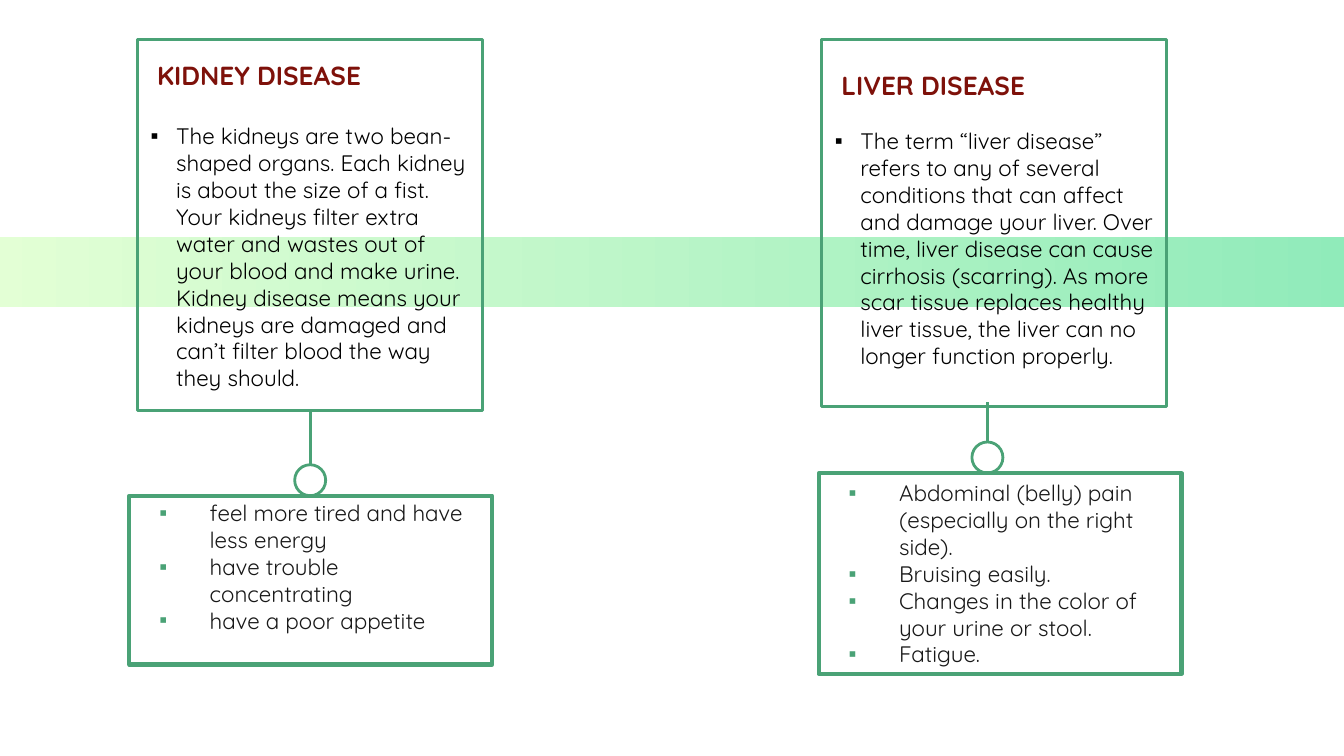
from dataclasses import dataclass

from lxml import etree
from pptx import Presentation
from pptx import util as u
from pptx.dml.color import RGBColor
from pptx.enum import shapes, text
from pptx.oxml.ns import qn

GREEN = RGBColor(0x4A, 0xA2, 0x76)
PALE_GREEN = RGBColor(0xE3, 0xFF, 0xD5)
MINT = RGBColor(0x90, 0xEB, 0xBA)
DARK_RED = RGBColor(0x7E, 0x11, 0x0A)
BLACK = RGBColor(0, 0, 0)
CHARCOAL = RGBColor(0x18, 0x18, 0x18)
FONT = "Quicksand"
CIRCLE = 16.6
LINE = 1.5


@dataclass
class Frame:
    """A box in points, with the inset above its first line."""
    left: float
    top: float
    width: float
    height: float
    inset: float


@dataclass
class Disease:
    title: str
    description: str
    symptoms: list[str]
    card: Frame
    title_gap: float
    symptom_card: Frame
    axis: float
    stem_top: float
    circle_top: float


DISEASES = [
    Disease(
        "KIDNEY DISEASE",
        "The kidneys are two bean-shaped organs. Each kidney is about the size "
        "of a fist. Your kidneys filter extra water and wastes out of your blood "
        "and make urine. Kidney disease means your kidneys are damaged and can’t "
        "filter blood the way they should.",
        ["feel more tired and have less energy", "have trouble concentrating",
         "have a poor appetite"],
        Frame(73.6, 21, 185, 198.8, 11), 16.8,
        Frame(69.3, 265.6, 194.4, 90.4, 1.8), 166.2, 219.8, 249),
    Disease(
        "LIVER DISEASE",
        "The term “liver disease” refers to any of several conditions that can "
        "affect and damage your liver. Over time, liver disease can cause "
        "cirrhosis (scarring). As more scar tissue replaces healthy liver tissue, "
        "the liver can no longer function properly.",
        ["Abdominal (belly) pain (especially on the right side).",
         "Bruising easily.", "Changes in the color of your urine or stool.",
         "Fatigue."],
        Frame(440.2, 21, 185, 197, 16), 14.4,
        Frame(438.6, 253.6, 194.4, 107.4, 3.2), 529, 215.5, 236.8),
]


def style_text(para, size: float, color: RGBColor, bold: bool = False) -> None:
    para.alignment = text.PP_ALIGN.LEFT
    for span in para.runs:
        span.font.name = FONT
        span.font.size = u.Pt(size)
        span.font.bold = bold
        span.font.color.rgb = color


def set_bullet(para, margin: float, hanging: float, color: RGBColor) -> None:
    props = para._p.get_or_add_pPr()
    props.set("marL", str(u.Pt(margin)))
    props.set("indent", str(-u.Pt(hanging)))
    bullet_color = etree.SubElement(props, qn("a:buClr"))
    etree.SubElement(bullet_color, qn("a:srgbClr"), val=str(color))
    etree.SubElement(props, qn("a:buFont"), typeface="Arial")
    etree.SubElement(props, qn("a:buChar"), char="▪")


def add_outline(page, kind, left: float, top: float, width: float,
                height: float, weight: float = LINE):
    box = page.shapes.add_shape(kind, u.Pt(left), u.Pt(top), u.Pt(width), u.Pt(height))
    box.shadow.inherit = False
    box.fill.background()
    box.line.color.rgb = GREEN
    box.line.width = u.Pt(weight)
    return box


def add_card(page, frame: Frame, lines: list[str], weight: float = LINE):
    """Draw a framed card and return its paragraphs."""
    box = add_outline(page, shapes.MSO_SHAPE.RECTANGLE, frame.left, frame.top,
                      frame.width, frame.height, weight)
    body = box.text_frame
    body.word_wrap = True
    body.vertical_anchor = text.MSO_ANCHOR.TOP
    body.margin_left = body.margin_right = u.Pt(7.2)
    body.margin_top = u.Pt(frame.inset)
    body.margin_bottom = u.Pt(0)
    body.text = "\n".join(lines)
    return body.paragraphs


def add_band(page) -> None:
    band = page.shapes.add_shape(shapes.MSO_SHAPE.RECTANGLE, u.Pt(-5.8), u.Pt(127.2),
                                 u.Pt(731.6), u.Pt(37.4))
    band.shadow.inherit = False
    band.line.fill.background()
    band.fill.gradient()
    band.fill.gradient_angle = 0
    for stop, color in zip(band.fill.gradient_stops, (PALE_GREEN, MINT)):
        stop.color.rgb = color


def add_disease(page, disease: Disease) -> None:
    # Description card
    title, description = add_card(page, disease.card,
                                  [disease.title, disease.description])
    style_text(title, 14, DARK_RED, bold=True)
    title._p.get_or_add_pPr().set("indent", str(u.Pt(3.5)))
    style_text(description, 12, BLACK)
    description.space_before = u.Pt(disease.title_gap)
    set_bullet(description, 13.7, 13.7, BLACK)

    # Stem and circle
    stem = page.shapes.add_connector(
        shapes.MSO_CONNECTOR.STRAIGHT, u.Pt(disease.axis), u.Pt(disease.stem_top),
        u.Pt(disease.axis), u.Pt(disease.circle_top))
    stem.line.color.rgb = GREEN
    stem.line.width = u.Pt(LINE)
    etree.SubElement(stem._element.spPr, qn("a:effectLst"))
    add_outline(page, shapes.MSO_SHAPE.OVAL, disease.axis - CIRCLE / 2,
                disease.circle_top, CIRCLE, CIRCLE)

    # Symptom card
    for para in add_card(page, disease.symptom_card, disease.symptoms, 2.25):
        style_text(para, 12, CHARCOAL)
        set_bullet(para, 36, 27, GREEN)


def main() -> None:
    deck = Presentation()
    deck.slide_width = u.Pt(720)
    deck.slide_height = u.Pt(405)
    page = deck.slides.add_slide(deck.slide_layouts[6])
    add_band(page)
    for disease in DISEASES:
        add_disease(page, disease)
    deck.save("out.pptx")


if __name__ == "__main__":
    main()
